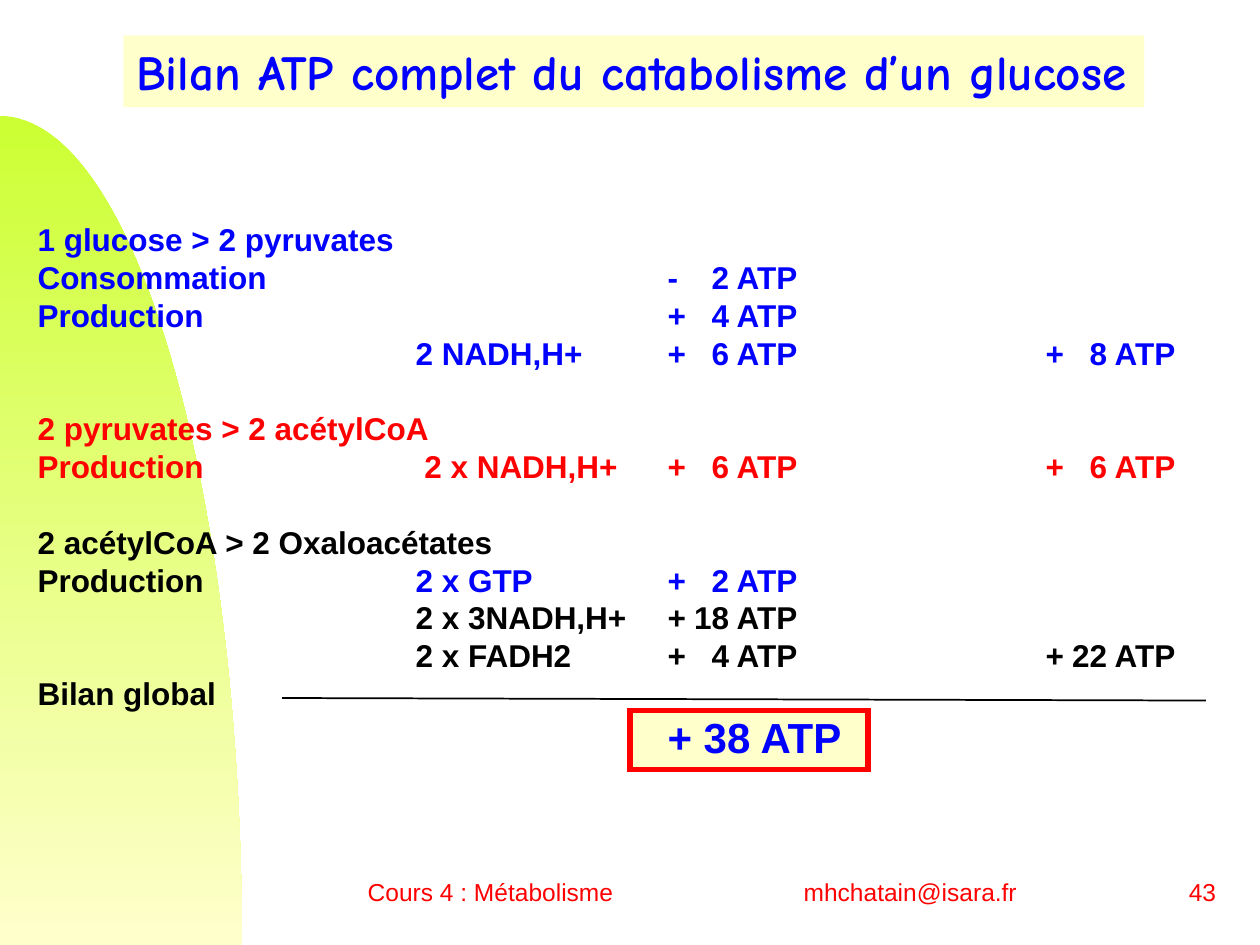
from math import cos, pi, sin

from lxml.etree import SubElement
from pptx import Presentation
from pptx.dml.color import RGBColor
from pptx.enum.shapes import MSO_CONNECTOR, MSO_SHAPE
from pptx.enum.text import MSO_ANCHOR, MSO_AUTO_SIZE, PP_ALIGN
from pptx.oxml.ns import qn
from pptx.util import Inches, Pt

COLOURS = {"blue": "0000FF", "red": "FF0000", "black": "000000",
           "cream": "FFFFCC", "lime": "CCFF33"}

# Tab stops in inches: molecule, sign, amount, subtotal sign, subtotal amount
BALANCE_TABS = [(3, "l"), (5, "l"), (6.03, "r"), (8, "l"), (9.03, "r")]
LINE_PITCH = 1.2

# Each stage: colour and lines
STAGES = [
    ("blue", ["1 glucose > 2 pyruvates",
              "Consommation\t\t-\t2 ATP",
              "Production\t\t+\t4 ATP",
              "\t2 NADH,H+\t+\t6 ATP\t+\t8 ATP"]),
    ("red", ["2 pyruvates > 2 acétylCoA",
             "Production\t 2 x NADH,H+\t+\t6 ATP\t+\t6 ATP"]),
    ("black", ["2 acétylCoA > 2 Oxaloacétates",
               "Production\t|2 x GTP\t+\t2 ATP",
               "\t2 x 3NADH,H+\t+\t18 ATP",
               "\t2 x FADH2\t+\t4 ATP\t+\t22 ATP",
               "Bilan global"]),
]


def rgb(name):
    return RGBColor.from_string(COLOURS[name])


def place(shape, box):
    shape.left, shape.top, shape.width, shape.height = map(Inches, box)


def set_frame(frame, anchor, wrap=True):
    frame.word_wrap = wrap
    frame.auto_size = MSO_AUTO_SIZE.NONE
    frame.vertical_anchor = anchor


def set_tabs(para, stops):
    tabs = SubElement(para._p.get_or_add_pPr(), qn("a:tabLst"))
    for position, side in stops:
        SubElement(tabs, qn("a:tab"), pos=str(Inches(position)), algn=side)


def style(font, size, colour, bold=False, name="Arial"):
    font.name, font.size, font.bold = name, Pt(size), bold
    font.color.rgb = rgb(colour)


def add_quarter_ellipse(page, box, steps=60):
    left, top, width, height = map(Inches, box)
    arc = [(left + width * sin(angle), top + height * (1 - cos(angle)))
           for angle in (pi / 2 * step / steps for step in range(steps + 1))]
    builder = page.shapes.build_freeform(*arc[0])
    builder.add_line_segments(arc[1:] + [(left, top + height)], close=True)
    shape = builder.convert_to_shape()
    shape.shadow.inherit = False
    shape.line.fill.background()
    shape.fill.gradient()
    shape.fill.gradient_angle = 270
    for stop, colour in zip(shape.fill.gradient_stops, ("lime", "cream")):
        stop.color.rgb = rgb(colour)


def fill_title(page, box):
    title = page.shapes.title
    place(title, box)
    title.fill.solid()
    title.fill.fore_color.rgb = rgb("cream")
    set_frame(title.text_frame, MSO_ANCHOR.TOP, wrap=False)
    para = title.text_frame.paragraphs[0]
    para.text = "Bilan ATP complet du catabolisme d’un glucose"
    para.alignment = PP_ALIGN.LEFT
    style(para.font, 28, "blue", True, "Comic Neue")


def add_balance_line(para, text, colour, size=18, gap=0):
    """Write one tabbed line; text after a bar is blue."""
    set_tabs(para, BALANCE_TABS)
    para.space_before = Pt(gap)
    para.line_spacing = Pt(size * LINE_PITCH)
    style(para.font, size, colour, True)
    main_text, _, accent = text.partition("|")
    para.add_run().text = main_text
    if accent:
        span = para.add_run()
        span.text = accent
        span.font.color.rgb = rgb("blue")


def add_balance(page, box):
    frame = page.shapes.add_textbox(*map(Inches, box)).text_frame
    set_frame(frame, MSO_ANCHOR.TOP)
    para = frame.paragraphs[0]
    for stage, (colour, lines) in enumerate(STAGES):
        for row, line in enumerate(lines):
            if stage or row:
                para = frame.add_paragraph()
            gap = 18 * LINE_PITCH if stage and row == 0 else 0
            add_balance_line(para, line, colour, gap=gap)
    add_balance_line(frame.add_paragraph(), "\t\t+ 38 ATP", "blue", size=24)


def add_total_frame(page, box):
    shape = page.shapes.add_shape(MSO_SHAPE.RECTANGLE, *map(Inches, box))
    shape.shadow.inherit = False
    shape.fill.solid()
    shape.fill.fore_color.rgb = rgb("cream")
    shape.line.color.rgb = rgb("red")
    shape.line.width = Pt(3)
    SubElement(shape.line._get_or_add_ln(), qn("a:miter"), lim="800000")


def add_total_rule(page, start, end):
    rule = page.shapes.add_connector(MSO_CONNECTOR.STRAIGHT,
                                     *map(Inches, start + end))
    rule.line.color.rgb = rgb("black")
    rule.line.width = Pt(1)
    SubElement(rule._element.spPr, qn("a:effectLst"))


def add_footer(page, box, text, alignment, tabs=()):
    frame = page.shapes.add_textbox(*map(Inches, box)).text_frame
    set_frame(frame, MSO_ANCHOR.MIDDLE)
    para = frame.paragraphs[0]
    para.text = text
    para.alignment = alignment
    if tabs:
        set_tabs(para, tabs)
    style(para.font, 14, "red")


def main():
    deck = Presentation()
    deck.slide_width, deck.slide_height = Inches(10), Inches(7.5)
    page = deck.slides.add_slide(deck.slide_layouts[5])
    fill_title(page, (0.98, 0.28, 8.1, 0.57))
    add_quarter_ellipse(page, (0, 0.92, 1.92, 6.58))
    add_total_frame(page, (5, 5.64, 1.89, 0.47))
    add_balance(page, (0.2, 1.7, 9.26, 4.4))
    add_total_rule(page, (2.24, 5.54), (9.57, 5.56))
    add_footer(page, (2.82, 6.83, 5.4, 0.5),
               "Cours 4 : Métabolisme\tmhchatain@isara.fr",
               PP_ALIGN.LEFT, [(3.46, "l")])
    add_footer(page, (7.67, 6.83, 2.08, 0.5), "43", PP_ALIGN.RIGHT)
    deck.save("out.pptx")


if __name__ == "__main__":
    main()
